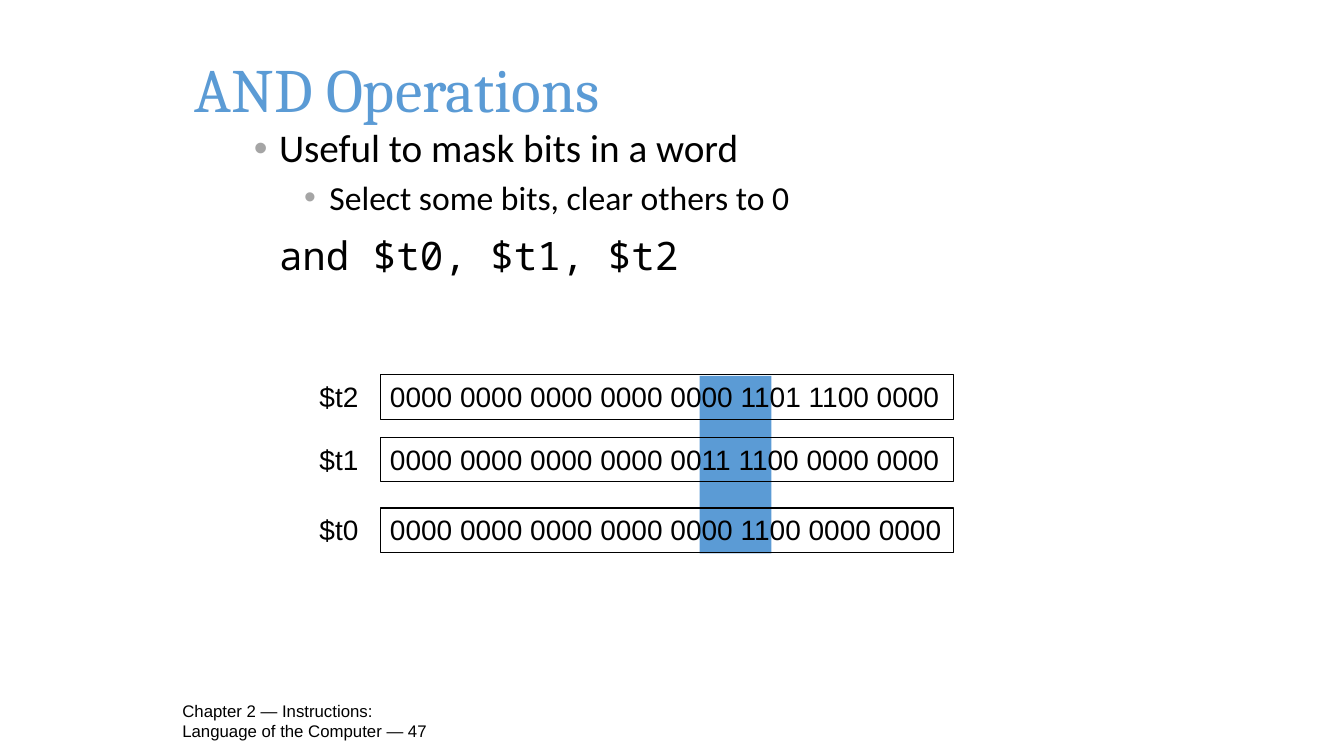
from lxml.etree import SubElement
from pptx import Presentation
from pptx.dml.color import RGBColor
from pptx.enum.shapes import MSO_SHAPE
from pptx.enum.text import MSO_ANCHOR, MSO_AUTO_SIZE, PP_ALIGN
from pptx.oxml.ns import qn
from pptx.util import Inches, Pt

BLUE, BLACK, GREY = "5B9BD5", "000000", "A5A5A5"
hex_color = RGBColor.from_string

deck = Presentation()
deck.slide_width, deck.slide_height = Inches(13.33), Inches(7.5)
slide = deck.slides.add_slide(deck.slide_layouts[6])
shapes = slide.shapes


def place(left, top, width, height):
    """Turn percentages of the slide's size into lengths."""
    across, down = deck.slide_width / 100, deck.slide_height / 100
    return int(left * across), int(top * down), int(width * across), int(height * down)


def write(para, text, size=20, font="Arial", color=BLACK):
    para.alignment = PP_ALIGN.LEFT
    span = para.add_run()
    span.text = text
    span.font.size = Pt(size)
    span.font.name = font
    span.font.color.rgb = hex_color(color)


# Footer
footer = shapes.add_textbox(*place(12.83, 92.67, 20.93, 5.33)).text_frame
footer.word_wrap = True
footer.vertical_anchor = MSO_ANCHOR.MIDDLE
write(footer.paragraphs[0], "Chapter 2 — Instructions: Language of the Computer — 47", size=12)

# Band behind the masked bits
band = shapes.add_shape(MSO_SHAPE.RECTANGLE, *place(52.06, 49.73, 5.33, 23.47))
band.shadow.inherit = False
band.fill.solid()
band.fill.fore_color.rgb = hex_color(BLUE)
band.line.fill.background()

# Title
title = shapes.add_textbox(*place(13.73, 2, 74.12, 19.33)).text_frame
title.word_wrap = True
title.vertical_anchor = MSO_ANCHOR.MIDDLE
write(title.paragraphs[0], "AND Operations", size=44, font="Cambria", color=BLUE)

# Body: text, level, left margin, size, font, space before, bulleted
body = shapes.add_textbox(*place(18.15, 16.4, 67.89, 30.27)).text_frame
body.word_wrap = True
body_lines = [
    ("Useful to mask bits in a word", 0, 0.25, 28, "Calibri", 0, True),
    ("Select some bits, clear others to 0", 1, 0.75, 24, "Calibri", 7, True),
    ("and $t0, $t1, $t2", 0, 0.25, 28, "Noto Sans Mono", 14, False),
]
for index, (text, level, margin, size, font, before, bulleted) in enumerate(body_lines):
    para = body.add_paragraph() if index else body.paragraphs[0]
    para.level = level
    para.line_spacing = 0.9
    para.space_before = Pt(before)
    settings = para._p.get_or_add_pPr()
    settings.set("marL", str(Inches(margin)))
    settings.set("indent", str(Inches(-0.25 if bulleted else 0)))
    if bulleted:
        bullet_color = SubElement(settings, qn("a:buClr"))
        SubElement(bullet_color, qn("a:srgbClr"), val=GREY)
        SubElement(settings, qn("a:buFont"), typeface="Arial")
        SubElement(settings, qn("a:buChar"), char="•")
    else:
        SubElement(settings, qn("a:buNone"))
    write(para, text, size=size, font=font)

# Registers
registers = [
    ("$t2", "0000 0000 0000 0000 0000 1101 1100 0000", 49.6),
    ("$t1", "0000 0000 0000 0000 0011 1100 0000 0000", 57.87),
    ("$t0", "0000 0000 0000 0000 0000 1100 0000 0000", 67.2),
]
for name, bits, top in registers:
    label = shapes.add_textbox(*place(23.03, top, 4.43, 5.73))
    word = shapes.add_shape(MSO_SHAPE.RECTANGLE, *place(28.28, top, 42.69, 5.87))
    word.shadow.inherit = False
    word.fill.background()
    word.line.color.rgb = hex_color(BLACK)
    word.line.width = Pt(0.75)
    for box, text in ((label, name), (word, bits)):
        frame = box.text_frame
        frame.word_wrap = False
        frame.auto_size = MSO_AUTO_SIZE.SHAPE_TO_FIT_TEXT
        frame.vertical_anchor = MSO_ANCHOR.TOP
        write(frame.paragraphs[0], text)

deck.save("out.pptx")
